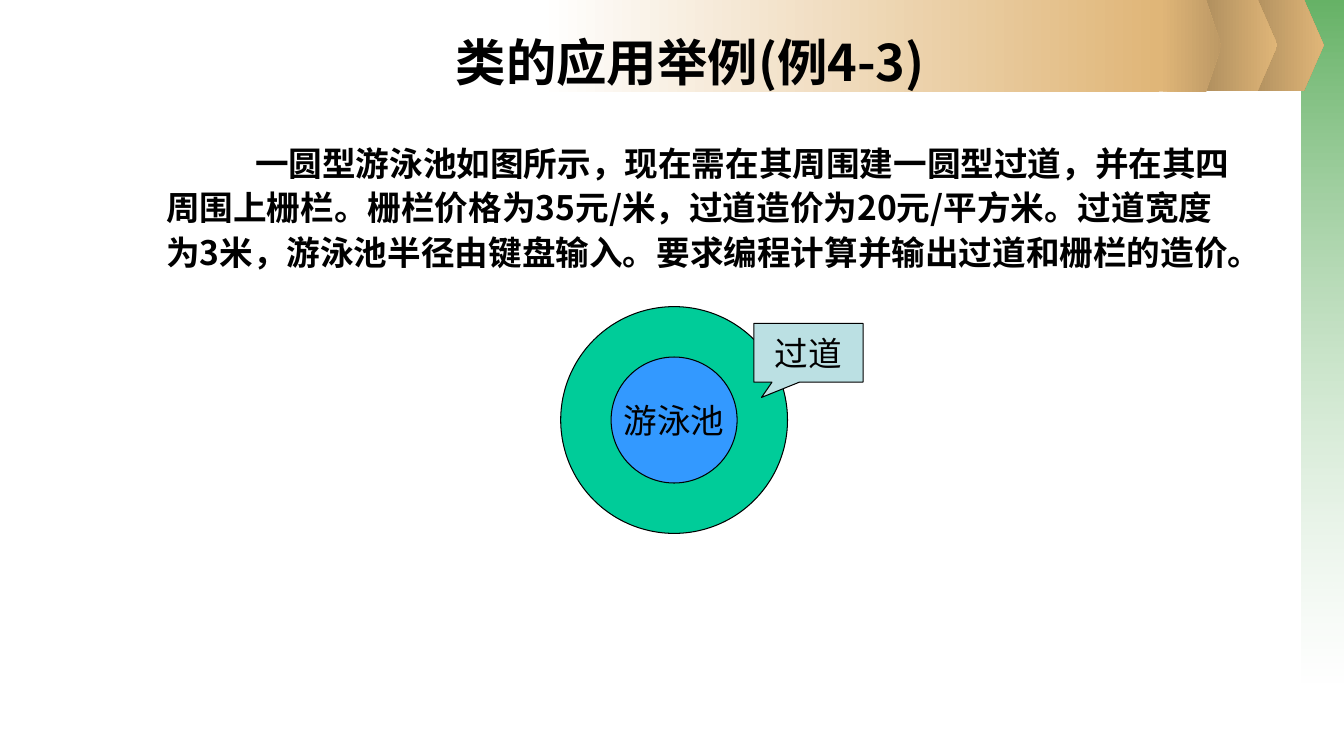
import pptx
import pptx.util
import pptx.dml.color
import pptx.enum.shapes
import pptx.enum.text
import pptx.oxml
import pptx.oxml.ns

Pt = pptx.util.Pt
SHAPE = pptx.enum.shapes.MSO_SHAPE
ANCHOR = pptx.enum.text.MSO_ANCHOR
CENTER = pptx.enum.text.PP_ALIGN.CENTER
HEADING_FONT = "Noto Sans CJK SC"


def color(value):
    return pptx.dml.color.RGBColor.from_string(value)


def add_run(paragraph, text, size, font_name, bold=False):
    """Add black text, with the font set for Latin and, in bold, for Chinese too."""
    run = paragraph.add_run()
    run.text = text
    run.font.size = Pt(size)
    run.font.name = font_name
    run.font.bold = bold
    run.font.color.rgb = color("000000")
    if bold:
        east_asian = pptx.oxml.parse_xml(
            f'<a:ea {pptx.oxml.ns.nsdecls("a")} typeface="{font_name}"/>')
        run.font._element.find(pptx.oxml.ns.qn("a:latin")).addnext(east_asian)


presentation = pptx.Presentation()
presentation.slide_width = Pt(960)
presentation.slide_height = Pt(540)
slide = presentation.slides.add_slide(presentation.slide_layouts[1])
title = slide.shapes.title
body = slide.placeholders[1]

# Background bands, placed behind the text
bands = [
    (SHAPE.RECTANGLE, 930, 0, 30, 487.5, "339933", "FFFFFF", 270, (75, 37)),
    (SHAPE.PENTAGON, 888.5, -0.5, 57, 65.5, "AB8B5C", "E0B678", 0, ()),
    (SHAPE.PENTAGON, 855.5, -0.5, 57, 65.5, "AB8B5C", "E0B678", 0, ()),
    (SHAPE.RECTANGLE, 386, 0, 442, 65.5, "FFFFFF", "E0B678", 0, ()),
    (SHAPE.PENTAGON, 828, 0, 44.5, 65.5, "E0B678", "BD9965", 0, ()),
]
for kind, left, top, width, height, start, end, angle, opacities in bands:
    band = slide.shapes.add_shape(kind, Pt(left), Pt(top), Pt(width), Pt(height))
    band.shadow.inherit = False
    band.line.fill.background()
    if kind == SHAPE.PENTAGON:
        band.adjustments[0] = 0.25
    band.fill.gradient()
    band.fill.gradient_angle = angle
    for stop, value in zip(band.fill.gradient_stops, (start, end)):
        stop.color.rgb = color(value)
    stop_colors = band.element.iter(pptx.oxml.ns.qn("a:srgbClr"))
    for stop_color, opacity in zip(stop_colors, opacities):
        stop_color.append(pptx.oxml.parse_xml(
            f'<a:alpha {pptx.oxml.ns.nsdecls("a")} val="{opacity * 1000}"/>'))
    title.element.addprevious(band.element)

# Title and problem statement
title.left, title.top, title.width, title.height = Pt(187), Pt(16.5), Pt(612), Pt(54)
title.text_frame.vertical_anchor = ANCHOR.MIDDLE
heading = title.text_frame.paragraphs[0]
heading.alignment = CENTER
add_run(heading, "类的应用举例(例4-3)", 36, HEADING_FONT, bold=True)

body.left, body.top, body.width, body.height = Pt(111.5), Pt(95.5), Pt(780), Pt(192)
body.text_frame.vertical_anchor = ANCHOR.TOP
statement = body.text_frame.paragraphs[0]
statement.line_spacing = Pt(31.7)
statement.space_before = Pt(0)
properties = statement._p.get_or_add_pPr()
properties.set("marL", "0")
properties.set("indent", str(Pt(63.5)))
properties.append(pptx.oxml.parse_xml(f'<a:buNone {pptx.oxml.ns.nsdecls("a")}/>'))
add_run(
    statement,
    "一圆型游泳池如图所示，现在需在其周围建一圆型过道，并在其四周围上栅栏。"
    "栅栏价格为35元/米，过道造价为20元/平方米。过道宽度为3米，"
    "游泳池半径由键盘输入。要求编程计算并输出过道和栅栏的造价。",
    24, HEADING_FONT, bold=True)

# Pool with its walkway and callout
diagram = slide.shapes.add_group_shape()
parts = [
    (SHAPE.OVAL, 400.5, 219, 162, 162, "00CC99", ""),
    (SHAPE.OVAL, 436.5, 255, 90, 90, "3399FF", "游泳池"),
    (SHAPE.RECTANGULAR_CALLOUT, 538.5, 231, 78, 42, "BBE0E3", "过道"),
]
for kind, left, top, width, height, fill, label in parts:
    part = diagram.shapes.add_shape(kind, Pt(left), Pt(top), Pt(width), Pt(height))
    part.shadow.inherit = False
    part.fill.solid()
    part.fill.fore_color.rgb = color(fill)
    part.line.color.rgb = color("000000")
    part.line.width = Pt(0.75)
    if kind == SHAPE.RECTANGULAR_CALLOUT:
        part.adjustments[0], part.adjustments[1] = -0.43, 0.76
    if label:
        part.text_frame.word_wrap = False
        part.text_frame.vertical_anchor = ANCHOR.MIDDLE
        paragraph = part.text_frame.paragraphs[0]
        paragraph.alignment = CENTER
        add_run(paragraph, label, 24, "Arial")

presentation.save("out.pptx")
